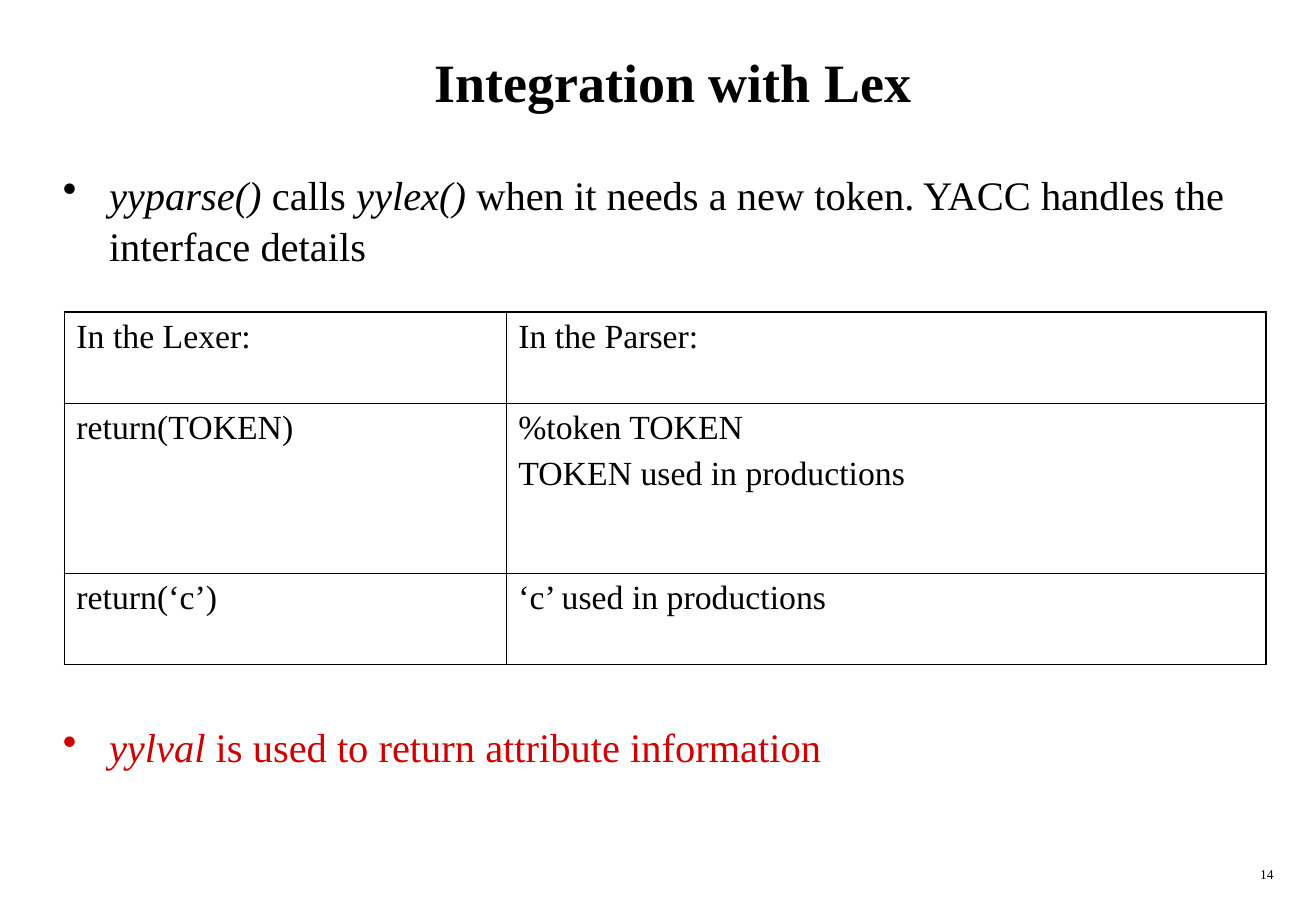
from dataclasses import dataclass

from lxml import etree
from pptx import Presentation
from pptx import util as u
from pptx.dml.color import RGBColor
from pptx.enum import text
from pptx.oxml import ns

BLACK = RGBColor(0x00, 0x00, 0x00)
RED = RGBColor(0xCC, 0x00, 0x00)
FONT = "Times New Roman"
OUTER_BORDER = u.Pt(1.08)
INNER_BORDER = u.Pt(0.45)


@dataclass(frozen=True)
class TextRun:
    words: str
    italic: bool = False


@dataclass(frozen=True)
class Bullet:
    runs: tuple[TextRun, ...]
    color: RGBColor
    space_before: float


BULLETS = (
    Bullet(
        (
            TextRun("yyparse()", italic=True),
            TextRun(" calls "),
            TextRun("yylex()", italic=True),
            TextRun(" when it needs a new token. YACC handles the interface details"),
        ),
        BLACK,
        0,
    ),
    Bullet(
        (
            TextRun("yylval", italic=True),
            TextRun(" is used to return attribute information"),
        ),
        RED,
        267,
    ),
)
COLUMN_WIDTHS = (3.64, 6.26)
ROW_HEIGHTS = (0.75, 1.4, 0.75)
TABLE_ROWS = (
    (("In the Lexer:",), ("In the Parser:",)),
    (("return(TOKEN)",), ("%token TOKEN", "TOKEN used in productions")),
    (("return(‘c’)",), ("‘c’ used in productions",)),
)


def add_run(paragraph, words: str, size: float, color: RGBColor = BLACK,
            bold: bool = False, italic: bool = False) -> None:
    run = paragraph.add_run()
    run.text = words
    run.font.name = FONT
    run.font.size = u.Pt(size)
    run.font.bold = bold
    run.font.italic = italic
    run.font.color.rgb = color


def paragraph_at(frame, index: int):
    return frame.paragraphs[0] if index == 0 else frame.add_paragraph()


def add_text_frame(slide, left: float, top: float, width: float, height: float):
    box = slide.shapes.add_textbox(
        u.Inches(left), u.Inches(top), u.Inches(width), u.Inches(height)
    )
    box.text_frame.word_wrap = True
    return box.text_frame


def set_bullet(paragraph, color: RGBColor) -> None:
    properties = paragraph._p.get_or_add_pPr()
    properties.set("marL", str(u.Inches(0.38)))
    properties.set("indent", str(-u.Inches(0.38)))
    bullet_color = etree.SubElement(properties, ns.qn("a:buClr"))
    etree.SubElement(bullet_color, ns.qn("a:srgbClr"), val=str(color))
    etree.SubElement(properties, ns.qn("a:buChar"), char="•")


def set_border(cell, side: str, width: int) -> None:
    line = etree.SubElement(
        cell._tc.get_or_add_tcPr(), ns.qn(f"a:ln{side}"), w=str(width)
    )
    fill = etree.SubElement(line, ns.qn("a:solidFill"))
    etree.SubElement(fill, ns.qn("a:srgbClr"), val=str(BLACK))


def add_title(slide) -> None:
    title = slide.shapes.title
    title.left, title.top = u.Inches(0.42), u.Inches(0.17)
    title.width, title.height = u.Inches(10.25), u.Inches(1)
    frame = title.text_frame
    frame.vertical_anchor = text.MSO_ANCHOR.MIDDLE
    frame.paragraphs[0].alignment = text.PP_ALIGN.CENTER
    add_run(frame.paragraphs[0], "Integration with Lex", 32, bold=True)


def add_bullets(slide) -> None:
    frame = add_text_frame(slide, 0.42, 1.33, 10.04, 5.58)
    for index, bullet in enumerate(BULLETS):
        paragraph = paragraph_at(frame, index)
        set_bullet(paragraph, bullet.color)
        paragraph.line_spacing = 1.05
        paragraph.space_before = u.Pt(bullet.space_before)
        for run in bullet.runs:
            add_run(paragraph, run.words, 24, bullet.color, italic=run.italic)


def add_token_table(slide) -> None:
    last_row, last_column = len(ROW_HEIGHTS) - 1, len(COLUMN_WIDTHS) - 1
    table = slide.shapes.add_table(
        len(ROW_HEIGHTS), len(COLUMN_WIDTHS), u.Inches(0.53), u.Inches(2.57),
        u.Inches(sum(COLUMN_WIDTHS)), u.Inches(sum(ROW_HEIGHTS)),
    ).table
    table.first_row = table.horz_banding = False
    for column, width in zip(table.columns, COLUMN_WIDTHS):
        column.width = u.Inches(width)
    for row_index, cells in enumerate(TABLE_ROWS):
        table.rows[row_index].height = u.Inches(ROW_HEIGHTS[row_index])
        for column_index, lines in enumerate(cells):
            cell = table.cell(row_index, column_index)
            outer_sides = {
                "L": column_index == 0,
                "R": column_index == last_column,
                "T": row_index == 0,
                "B": row_index == last_row,
            }
            for side, is_outer in outer_sides.items():
                set_border(cell, side, OUTER_BORDER if is_outer else INNER_BORDER)
            cell.fill.background()
            for line_index, line in enumerate(lines):
                paragraph = paragraph_at(cell.text_frame, line_index)
                paragraph.space_before = u.Pt(5 if line_index else 0)
                add_run(paragraph, line, 20)


def add_page_number(slide) -> None:
    paragraph = add_text_frame(slide, 8.33, 7.08, 2.26, 0.25).paragraphs[0]
    paragraph.alignment = text.PP_ALIGN.RIGHT
    add_run(paragraph, "14", 8)


def main() -> None:
    presentation = Presentation()
    presentation.slide_width = u.Inches(10.84)
    presentation.slide_height = u.Inches(7.5)
    slide = presentation.slides.add_slide(presentation.slide_layouts[5])
    add_title(slide)
    add_bullets(slide)
    add_token_table(slide)
    add_page_number(slide)
    presentation.save("out.pptx")


if __name__ == "__main__":
    main()
